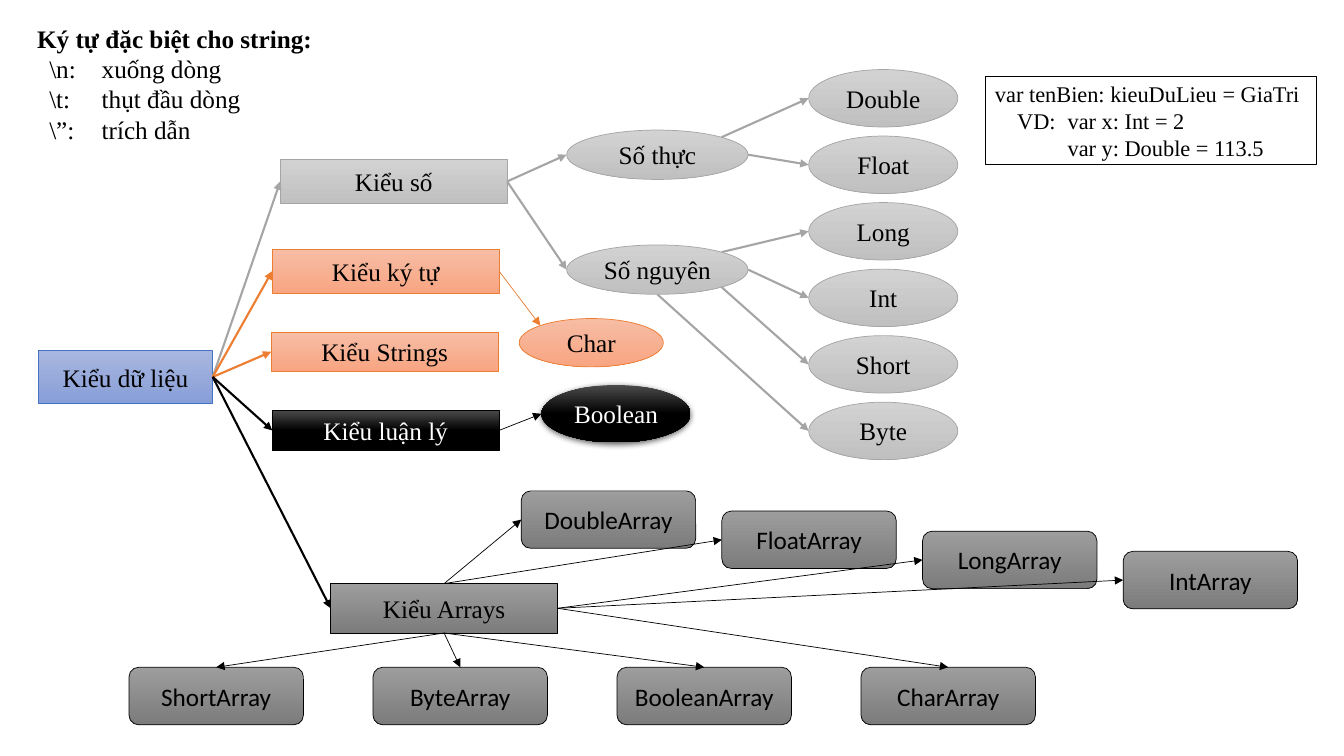
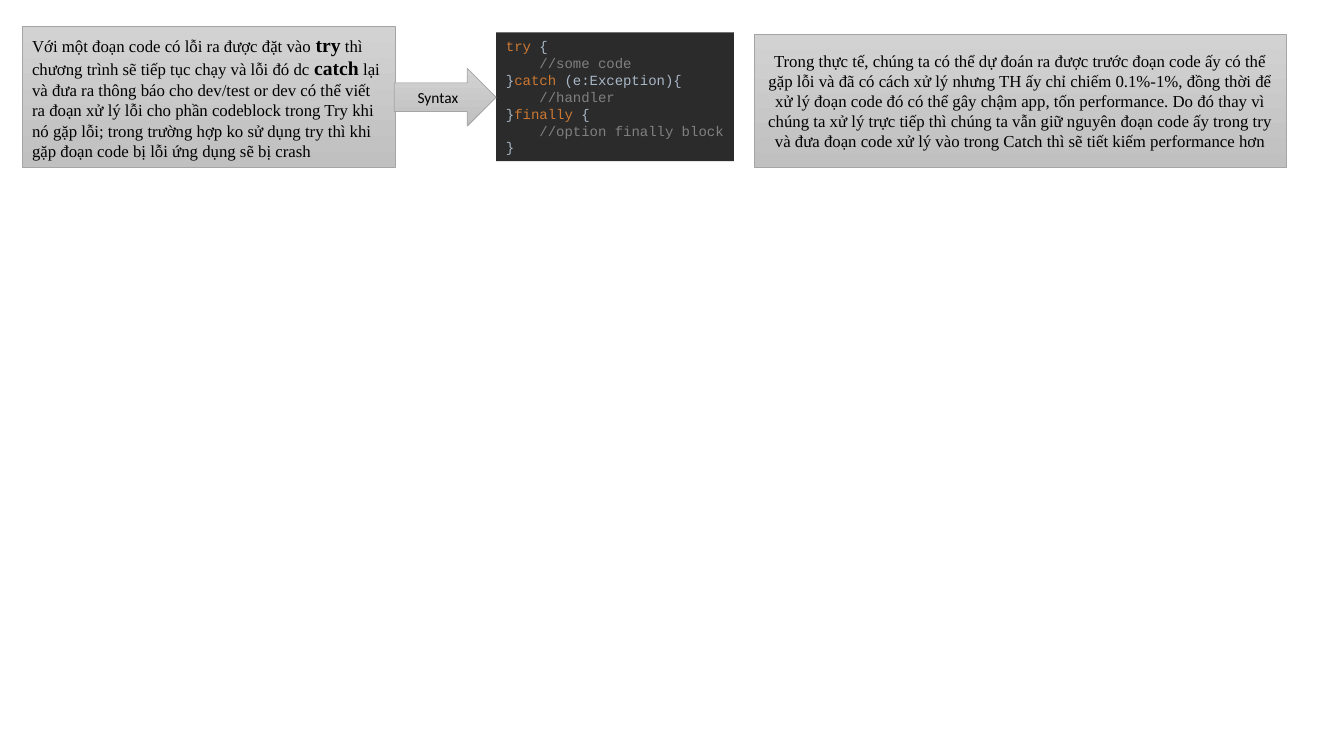
from math import sqrt
from typing import NamedTuple

from lxml import etree
from pptx import Presentation
from pptx.dml.color import RGBColor
from pptx.enum.shapes import MSO_CONNECTOR, MSO_SHAPE
from pptx.enum.text import MSO_ANCHOR, PP_ALIGN
from pptx.oxml.ns import qn
from pptx.util import Inches, Pt

RECT = MSO_SHAPE.RECTANGLE
ROUNDED = MSO_SHAPE.ROUNDED_RECTANGLE
ELLIPSE = MSO_SHAPE.OVAL
ARROW = MSO_SHAPE.RIGHT_ARROW
STRAIGHT = MSO_CONNECTOR.STRAIGHT
LEFT, CENTER = PP_ALIGN.LEFT, PP_ALIGN.CENTER
MIDDLE = MSO_ANCHOR.MIDDLE

SERIF, SANS, MONO = "Times New Roman", "Calibri", "Courier New"

BLACK = RGBColor(0x00, 0x00, 0x00)
WHITE = RGBColor(0xFF, 0xFF, 0xFF)
EDITOR_BG = RGBColor(0x2B, 0x2B, 0x2B)
KEYWORD = RGBColor(0xCC, 0x78, 0x32)
PLAIN = RGBColor(0xA9, 0xB7, 0xC6)
COMMENT = RGBColor(0x80, 0x80, 0x80)


class Tone(NamedTuple):
    top: RGBColor
    bottom: RGBColor
    line: RGBColor
    text: RGBColor = BLACK
    bottom_stop: float = 1.0


BLUE = Tone(RGBColor(0xA8, 0xB7, 0xDF), RGBColor(0x88, 0x9E, 0xD7),
            RGBColor(0x44, 0x72, 0xC4))
GRAY = Tone(RGBColor(0xD2, 0xD2, 0xD2), RGBColor(0xC0, 0xC0, 0xC0),
            RGBColor(0xA5, 0xA5, 0xA5))
ORANGE = Tone(RGBColor(0xF7, 0xBD, 0xA5), RGBColor(0xF8, 0xA5, 0x82),
              RGBColor(0xED, 0x7D, 0x31))
DARK = Tone(RGBColor(0x4B, 0x4B, 0x4B), BLACK, BLACK, WHITE, 0.5)
STEEL = Tone(RGBColor(0x9D, 0x9D, 0x9D), RGBColor(0x7C, 0x7C, 0x7C), BLACK)

# Connection sites: index, then position as a fraction of width and height
NEAR, FAR = 0.5 - sqrt(0.125), 0.5 + sqrt(0.125)
BOX_SITES = {"top": (0, 0.5, 0), "left": (1, 0, 0.5),
             "bottom": (2, 0.5, 1), "right": (3, 1, 0.5)}
ELLIPSE_SITES = {"top_left": (1, NEAR, NEAR), "left": (2, 0, 0.5),
                 "bottom": (4, 0.5, 1), "bottom_right": (5, FAR, FAR),
                 "right": (6, 1, 0.5), "top_right": (7, FAR, NEAR)}


def locate(shape, side):
    """Return the site index and the x and y of a connection site."""
    sites = ELLIPSE_SITES if shape.auto_shape_type == ELLIPSE else BOX_SITES
    index, fx, fy = sites[side]
    return (index, int(shape.left + fx * shape.width),
            int(shape.top + fy * shape.height))


def hang(paragraph, first, rest):
    """Start the first line at first; a tab and wrapped lines go to rest."""
    properties = paragraph._p.get_or_add_pPr()
    properties.set("marL", str(Inches(rest)))
    properties.set("indent", str(Inches(first) - Inches(rest)))


class Deck:
    def __init__(self):
        self.presentation = Presentation()
        self.presentation.slide_width = Inches(13.33)
        self.presentation.slide_height = Inches(7.5)
        self.slide = None

    def new_slide(self):
        blank = self.presentation.slide_layouts[6]
        self.slide = self.presentation.slides.add_slide(blank)

    def style(self, run, size, font=SERIF, color=BLACK, bold=False):
        run.font.size = Pt(size)
        run.font.name = font
        run.font.color.rgb = color
        run.font.bold = bold

    def box(self, area, kind=RECT):
        """Add a shape without fill, line or shadow, with text at mid height."""
        shape = self.slide.shapes.add_shape(kind, *map(Inches, area))
        shape.shadow.inherit = False
        shape.fill.background()
        shape.line.fill.background()
        shape.text_frame.vertical_anchor = MIDDLE
        shape.text_frame.word_wrap = True
        return shape

    def panel(self, area, tone, kind=RECT):
        shape = self.box(area, kind)
        shape.fill.gradient()
        shape.fill.gradient_angle = 270
        top, bottom = shape.fill.gradient_stops
        top.position, top.color.rgb = 0, tone.top
        bottom.position, bottom.color.rgb = tone.bottom_stop, tone.bottom
        shape.line.color.rgb = tone.line
        shape.line.width = Pt(0.5)
        return shape

    def node(self, label, area, tone, kind=RECT, font=SERIF, size=18):
        shape = self.panel(area, tone, kind)
        shape.text_frame.word_wrap = False
        shape.text_frame.text = label
        paragraph = shape.text_frame.paragraphs[0]
        paragraph.alignment = CENTER
        self.style(paragraph.runs[0], size, font, tone.text)
        return shape

    def drop_shadow(self, shape):
        shape.line.fill.background()
        effects = shape._element.spPr.find(qn("a:effectLst"))
        shadow = etree.SubElement(
            effects, qn("a:outerShdw"), blurRad=str(Pt(4.5)),
            dist=str(Pt(1.5)), dir="5400000", algn="ctr", rotWithShape="0")
        color = etree.SubElement(shadow, qn("a:srgbClr"), val=str(BLACK))
        etree.SubElement(color, qn("a:alpha"), val="63000")

    def arrow(self, source, side, target, target_side, color, width):
        start, x1, y1 = locate(source, side)
        end, x2, y2 = locate(target, target_side)
        line = self.slide.shapes.add_connector(STRAIGHT, x1, y1, x2, y2)
        line.line.color.rgb = color
        line.line.width = Pt(width)
        glue = line._element.find(".//" + qn("p:cNvCxnSpPr"))
        for tag, shape, site in (("a:stCxn", source, start),
                                 ("a:endCxn", target, end)):
            etree.SubElement(glue, qn(tag), id=str(shape.shape_id), idx=str(site))
        etree.SubElement(line.line._get_or_add_ln(), qn("a:tailEnd"),
                         type="triangle")
        etree.SubElement(line._element.spPr, qn("a:effectLst"))

    def lines(self, frame, rows, size):
        """Fill a frame with left-aligned (text, first, rest) rows."""
        frame.text = "\n".join(text for text, _, _ in rows)
        for paragraph, (_, first, rest) in zip(frame.paragraphs, rows):
            paragraph.alignment = LEFT
            hang(paragraph, first, rest)
            self.style(paragraph.runs[0], size)

    def mixed(self, paragraph, pieces):
        """Fill a paragraph with (text, style arguments) pieces."""
        paragraph.alignment = LEFT
        for text, look in pieces:
            run = paragraph.add_run()
            run.text = text
            self.style(run, **look)


def data_types(deck):
    deck.new_slide()
    escapes = deck.slide.shapes.add_textbox(
        *map(Inches, (0.27, 0.18, 3.01, 1.31))).text_frame
    escapes.word_wrap = True
    deck.lines(escapes, [("Ký tự đặc biệt cho string:", 0, 0),
                         ("\\n:\txuống dòng", 0.12, 0.64),
                         ("\\t:\tthụt đầu dòng", 0.12, 0.64),
                         ("\\”:\ttrích dẫn", 0.12, 0.64)], 18)
    escapes.paragraphs[0].runs[0].font.bold = True

    syntax = deck.box((9.77, 0.76, 3.29, 0.87))
    syntax.line.color.rgb = BLACK
    syntax.line.width = Pt(0.75)
    deck.lines(syntax.text_frame, [("var tenBien: kieuDuLieu = GiaTri", 0, 0),
                                   ("VD:\tvar x: Int = 2", 0.22, 0.72),
                                   ("var y: Double = 113.5", 0.72, 0.72)], 16)

    root = deck.node("Kiểu dữ liệu", (0.38, 3.48, 1.73, 0.52), BLUE)
    groups = []
    for label, left, top, height, tone in (
            ("Kiểu số", 2.78, 1.58, 0.44, GRAY),
            ("Kiểu ký tự", 2.7, 2.47, 0.44, ORANGE),
            ("Kiểu Strings", 2.69, 3.3, 0.38, ORANGE),
            ("Kiểu luận lý", 2.7, 4.07, 0.4, DARK),
            ("Kiểu Arrays", 3.28, 5.79, 0.49, STEEL)):
        group = deck.node(label, (left, top, 2.25, height), tone)
        deck.arrow(root, "right", group, "left", tone.line, 1.5)
        groups.append(group)
    number, character, _, logic, arrays = groups

    reals, integers = [
        deck.node(label, (5.62, top, 1.8, 0.49), GRAY, ELLIPSE)
        for label, top in (("Số thực", 1.29), ("Số nguyên", 2.43))]
    for family in (reals, integers):
        deck.arrow(number, "right", family, "left", GRAY.line, 1.5)
    for row, (label, family, side) in enumerate((
            ("Double", reals, "top_right"), ("Float", reals, "right"),
            ("Long", integers, "top_right"), ("Int", integers, "right"),
            ("Short", integers, "bottom_right"), ("Byte", integers, "bottom"))):
        leaf = deck.node(label, (8.02, 0.69 + 0.66 * row, 1.48, 0.57),
                         GRAY, ELLIPSE)
        deck.arrow(family, side, leaf, "left", GRAY.line, 1.5)

    char = deck.node("Char", (5.15, 3.16, 1.43, 0.48), ORANGE, ELLIPSE)
    deck.arrow(character, "right", char, "top_left", ORANGE.line, 0.5)
    boolean = deck.node("Boolean", (5.37, 3.82, 1.48, 0.57), DARK, ELLIPSE)
    deck.drop_shadow(boolean)
    deck.arrow(logic, "right", boolean, "left", DARK.line, 0.5)

    upper = (("DoubleArray", "top"), ("FloatArray", "top"),
             ("LongArray", "right"), ("IntArray", "right"))
    lower = (("ShortArray", "bottom"), ("ByteArray", "bottom"),
             ("BooleanArray", "bottom"), ("CharArray", "right"))
    links = []
    for members, left, step, top, drop, target_side in (
            (upper, 5.17, 1.99, 4.87, 0.2, "left"),
            (lower, 1.28, 2.42, 6.62, 0, "top")):
        for column, (label, side) in enumerate(members):
            area = (left + step * column, top + drop * column, 1.73, 0.57)
            links.append((side, deck.node(label, area, STEEL, ROUNDED, SANS),
                          target_side))
    for side, member, target_side in links:
        deck.arrow(arrays, side, member, target_side, STEEL.line, 0.5)


def exceptions(deck):
    deck.new_slide()
    code = deck.box((4.92, 0.32, 2.36, 1.28))
    code.fill.solid()
    code.fill.fore_color.rgb = EDITOR_BG
    code_lines = (
        (("try ", KEYWORD), ("{", PLAIN)),
        (("    //some code", COMMENT),),
        (("}", PLAIN), ("catch ", KEYWORD), ("(e:Exception){", PLAIN)),
        (("    //handler", COMMENT),),
        (("}", PLAIN), ("finally ", KEYWORD), ("{", PLAIN)),
        (("    //option finally block", COMMENT),),
        (("}", PLAIN),))
    frame = code.text_frame
    frame.word_wrap = False
    for number, pieces in enumerate(code_lines):
        paragraph = frame.add_paragraph() if number else frame.paragraphs[0]
        deck.mixed(paragraph, [(text, dict(size=10, font=MONO, color=color))
                               for text, color in pieces])

    normal, strong = dict(size=12), dict(size=14, bold=True)
    purpose = deck.panel((0.22, 0.26, 3.7, 1.4), GRAY)
    deck.mixed(purpose.text_frame.paragraphs[0], [
        ("Với một đoạn code có lỗi ra được đặt vào ", normal),
        ("try", strong),
        (" thì chương trình sẽ tiếp tục chạy và lỗi đó dc ", normal),
        ("catch", strong),
        (" lại và đưa ra thông báo cho dev/test or dev có thể viết ra đoạn "
         "xử lý lỗi cho phần codeblock trong Try khi nó gặp lỗi; trong "
         "trường hợp ko sử dụng try thì khi gặp đoạn code bị lỗi ứng dụng "
         "sẽ bị crash", normal)])

    deck.node("Syntax", (3.91, 0.68, 1.01, 0.57), GRAY, ARROW, SANS, 11)

    advice = deck.node(
        "Trong thực tế, chúng ta có thể dự đoán ra được trước đoạn code ấy có "
        "thể gặp lỗi và đã có cách xử lý nhưng TH ấy chỉ chiếm 0.1%-1%, đồng "
        "thời để xử lý đoạn code đó có thể gây chậm app, tốn performance. Do "
        "đó thay vì chúng ta xử lý trực tiếp thì chúng ta vẫn giữ nguyên đoạn "
        "code ấy trong try và đưa đoạn code xử lý vào trong Catch thì sẽ tiết "
        "kiếm performance hơn", (7.48, 0.34, 5.28, 1.32), GRAY, size=12)
    advice.text_frame.word_wrap = True


def main():
    deck = Deck()
    data_types(deck)
    exceptions(deck)
    deck.presentation.save("out.pptx")


if __name__ == "__main__":
    main()
